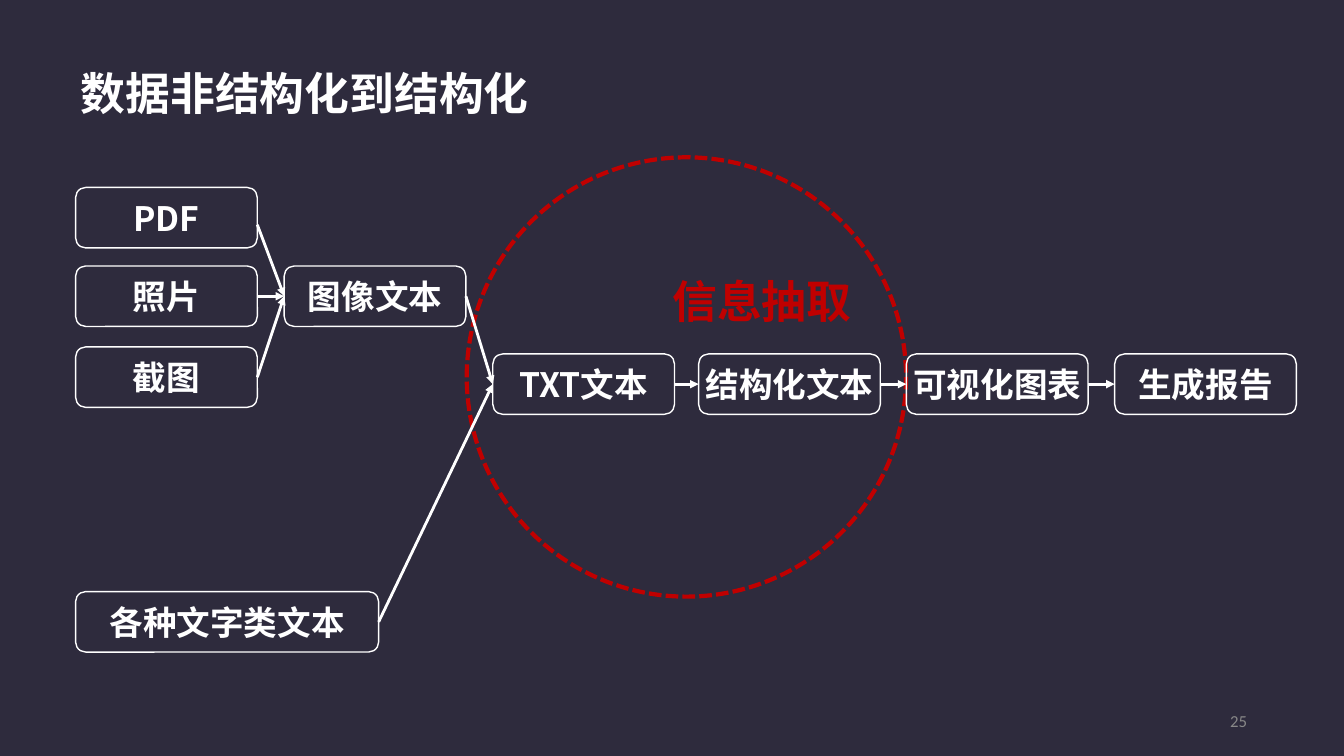
from lxml import etree
from pptx import Presentation
from pptx.dml.color import RGBColor
from pptx.enum import dml, shapes, text
from pptx.oxml import ns
from pptx.util import Pt

# Content: label -> left, top, width
TITLE = "数据非结构化到结构化"
FOCUS = "信息抽取"
PAGE_NUMBER = "25"
BOX_WIDTH, BOX_HEIGHT = 129.8, 43.2
BOXES = {
    "PDF": (54, 133.9, BOX_WIDTH),
    "照片": (54, 190, BOX_WIDTH),
    "截图": (54, 247.8, BOX_WIDTH),
    "各种文字类文本": (54, 422.6, 216.5),
    "图像文本": (203, 190, BOX_WIDTH),
    "TXT文本": (352, 252.8, BOX_WIDTH),
    "结构化文本": (499, 252.8, BOX_WIDTH),
    "可视化图表": (647.4, 252.8, BOX_WIDTH),
    "生成报告": (796.2, 252.8, BOX_WIDTH),
}
ARROWS = [
    ("照片", "图像文本"),
    ("截图", "图像文本"),
    ("图像文本", "TXT文本"),
    ("各种文字类文本", "TXT文本"),
    ("TXT文本", "结构化文本"),
    ("结构化文本", "可视化图表"),
    ("可视化图表", "生成报告"),
]
PDF_ARROW_START = (183.8, 160.5)  # a little below the middle of the side
CIRCLE = (333.4, 112.4, 313.8)

BACKGROUND = RGBColor(0x2E, 0x2B, 0x3D)
WHITE = RGBColor(0xFF, 0xFF, 0xFF)
RED = RGBColor(0xC0, 0x00, 0x00)
GREY = RGBColor(0x88, 0x88, 0x88)
FONT = "Noto Sans CJK SC"
LEFT_SIDE, RIGHT_SIDE = 1, 3


def write(shape, words, size, color, align, inset=3.6, wrap=False, font=FONT, bold=True):
    frame = shape.text_frame
    frame.auto_size = text.MSO_AUTO_SIZE.NONE
    frame.word_wrap = wrap
    frame.vertical_anchor = text.MSO_ANCHOR.MIDDLE
    frame.margin_left = frame.margin_right = Pt(inset)
    frame.margin_top = frame.margin_bottom = Pt(inset)
    para = frame.paragraphs[0]
    para.alignment = align
    span = para.add_run()
    span.text = words
    span.font.size = Pt(size)
    span.font.bold = bold
    span.font.color.rgb = color
    span.font.name = font
    east_asian = etree.SubElement(span.font._element, ns.qn("a:ea"))
    east_asian.set("typeface", font)


def add_outline(page, kind, left, top, width, height, color, weight):
    shape = page.shapes.add_shape(kind, Pt(left), Pt(top), Pt(width), Pt(height))
    shape.shadow.inherit = False
    shape.fill.background()
    shape.line.color.rgb = color
    shape.line.width = Pt(weight)
    return shape


def add_arrow(page, target, source=None, start=(0, 0)):
    arrow = page.shapes.add_connector(
        shapes.MSO_CONNECTOR.STRAIGHT, Pt(start[0]), Pt(start[1]), 0, 0)
    if source is not None:
        arrow.begin_connect(source, RIGHT_SIDE)
    arrow.end_connect(target, LEFT_SIDE)
    arrow.line.color.rgb = WHITE
    arrow.line.width = Pt(2)
    head = etree.SubElement(arrow.line._get_or_add_ln(), ns.qn("a:tailEnd"))
    head.set("type", "triangle")
    etree.SubElement(arrow._element.spPr, ns.qn("a:effectLst"))


def main():
    deck = Presentation()
    deck.slide_width, deck.slide_height = Pt(960), Pt(540)
    page = deck.slides.add_slide(deck.slide_layouts[5])
    page.background.fill.solid()
    page.background.fill.fore_color.rgb = BACKGROUND

    # Title
    title = page.shapes.title
    title.left, title.top, title.width, title.height = Pt(54), Pt(43.2), Pt(340), Pt(46)
    write(title, TITLE, 32, WHITE, text.PP_ALIGN.LEFT)

    # Dashed circle with its label
    left, top, size = CIRCLE
    circle = add_outline(page, shapes.MSO_SHAPE.OVAL, left, top, size, size, RED, 3)
    circle.line.dash_style = dml.MSO_LINE.SQUARE_DOT
    label = page.shapes.add_textbox(Pt(476.6), Pt(191.5), Pt(136.8), Pt(46))
    write(label, FOCUS, 32, RED, text.PP_ALIGN.LEFT)

    # Flow boxes
    boxes = {}
    for name, (left, top, width) in BOXES.items():
        box = add_outline(page, shapes.MSO_SHAPE.ROUNDED_RECTANGLE,
                          left, top, width, BOX_HEIGHT, WHITE, 1)
        write(box, name, 24, WHITE, text.PP_ALIGN.CENTER, inset=0, wrap=True)
        boxes[name] = box

    # Arrows between boxes
    add_arrow(page, boxes["图像文本"], start=PDF_ARROW_START)
    for source, target in ARROWS:
        add_arrow(page, boxes[target], boxes[source])

    # Page number
    number = page.shapes.add_textbox(Pt(873.4), Pt(504), Pt(21), Pt(21))
    write(number, PAGE_NUMBER, 12, GREY, text.PP_ALIGN.RIGHT, font="Calibri", bold=False)

    deck.save("out.pptx")


if __name__ == "__main__":
    main()
